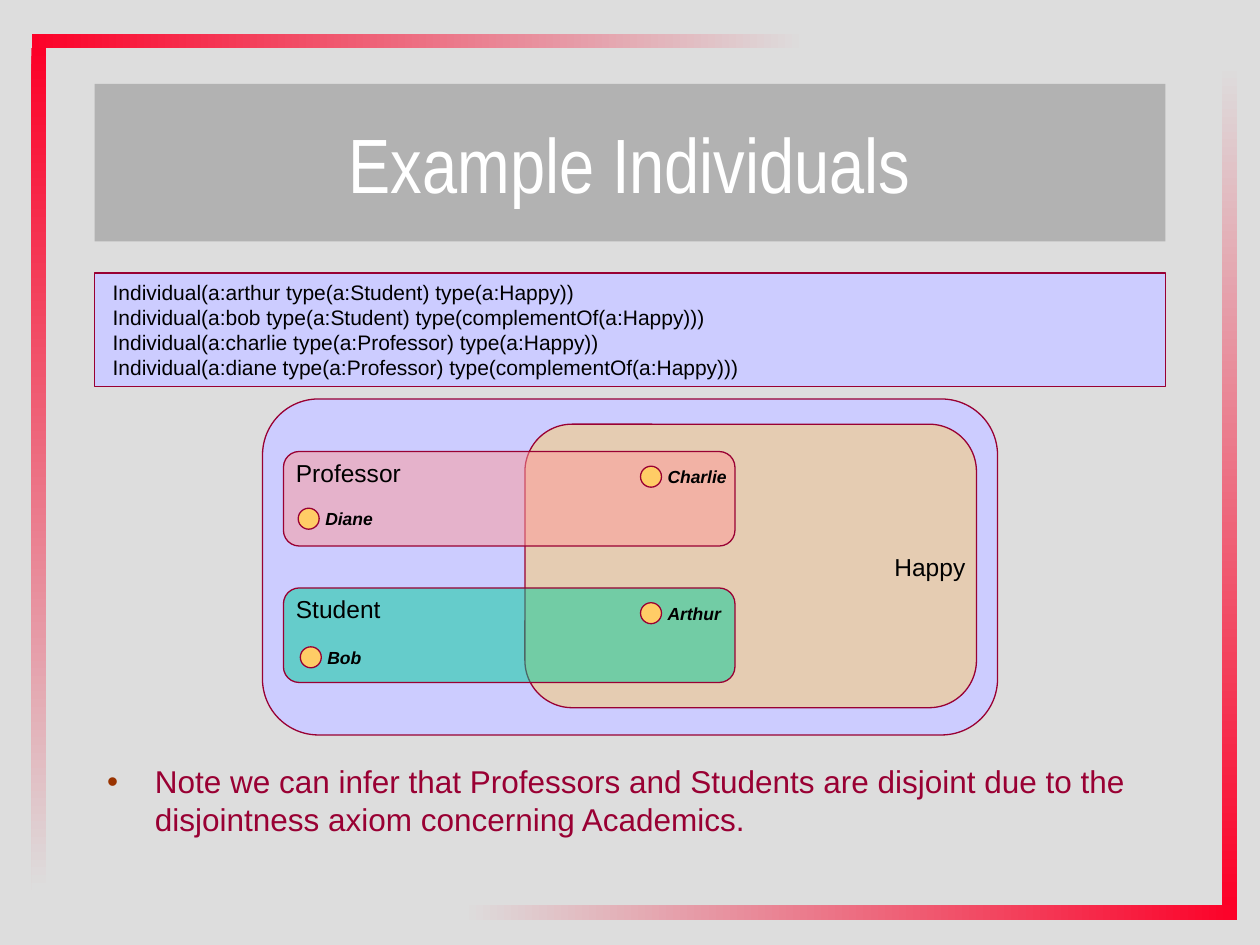
from typing import NamedTuple

from lxml import etree
from pptx import Presentation
from pptx import util as u
from pptx.dml.color import RGBColor
from pptx.enum import shapes, text
from pptx.oxml import ns

WIDTH, HEIGHT = u.Inches(10), u.Inches(7.5)
COLS, ROWS = 120, 90
RED, GREY, WINE, LILAC, AMBER = "FC0128", "DDDDDD", "990033", "CCCCFF", "FFCC66"


class Box(NamedTuple):
    """Left, top, width and height in grid columns and rows."""
    col: float
    row: float
    cols: float
    rows: float

    def emu(self) -> tuple:
        """Return the box in slide units."""
        return (int(WIDTH * self.col / COLS), int(HEIGHT * self.row / ROWS),
                int(WIDTH * self.cols / COLS), int(HEIGHT * self.rows / ROWS))


class Bar(NamedTuple):
    """A frame bar fading from red along an angle."""
    box: Box
    angle: int


class Region(NamedTuple):
    """A rounded set with an optional opacity in percent."""
    box: Box
    fill: str
    opacity: int = 100


class Label(NamedTuple):
    """The name of a class."""
    name: str
    box: Box


class Person(NamedTuple):
    """An individual: dot position and width of the name."""
    name: str
    col: float
    row: float
    cols: float


BARS = [
    Bar(Box(3, 4.6, 1.4, 80.2), 270),
    Bar(Box(3, 3.2, 73.8, 1.4), 0),
    Bar(Box(116.4, 6, 1.4, 80.2), 90),
    Bar(Box(44, 86.2, 73.8, 1.4), 180),
]
REGIONS = [
    Region(Box(25, 38, 70, 32), LILAC),
    Region(Box(50, 40.4, 43, 27), AMBER, 50),
    Region(Box(27, 43, 43, 9), "FF9999", 50),
    Region(Box(27, 56, 43, 9), "00CC99", 50),
]
LABELS = [
    Label("Happy", Box(84, 52, 9.6, 4.1)),
    Label("Professor", Box(27, 43, 12.8, 4.1)),
    Label("Student", Box(27, 56, 10.9, 4.1)),
]
PEOPLE = [
    Person("Charlie", 61, 44.4, 8.4),
    Person("Arthur", 61, 57.4, 7.9),
    Person("Diane", 28.4, 48.4, 7.3),
    Person("Bob", 28.6, 61.6, 6.1),
]
CODE = [
    " Individual(a:arthur type(a:Student) type(a:Happy))",
    " Individual(a:bob type(a:Student) type(complementOf(a:Happy)))",
    " Individual(a:charlie type(a:Professor) type(a:Happy))",
    " Individual(a:diane type(a:Professor) type(complementOf(a:Happy)))",
]
NOTE = ("Note we can infer that Professors and Students are disjoint "
        "due to the disjointness axiom concerning Academics.")


def rgb(value: str) -> RGBColor:
    """Turn a hex string into a colour."""
    return RGBColor.from_string(value)


def paint(sp, fill: str, line: str = "", opacity: int = 100) -> None:
    """Give a shape a solid fill and an optional outline."""
    sp.fill.solid()
    sp.fill.fore_color.rgb = rgb(fill)
    if opacity < 100:
        clr = sp._element.spPr.find(".//" + ns.qn("a:srgbClr"))
        etree.SubElement(clr, ns.qn("a:alpha"), val=str(opacity * 1000))
    if line:
        sp.line.color.rgb = rgb(line)
        sp.line.width = u.Pt(0.75)
    else:
        sp.line.fill.background()


def add_shape(s, kind, box: Box):
    """Add a preset shape without a shadow."""
    sp = s.shapes.add_shape(kind, *box.emu())
    sp.shadow.inherit = False
    return sp


def write(sp, *lines: str, size=12, font="Arial", color="000000", bold=False,
          italic=False, align=text.PP_ALIGN.LEFT, anchor=text.MSO_ANCHOR.TOP,
          wrap=True, fit=text.MSO_AUTO_SIZE.SHAPE_TO_FIT_TEXT) -> None:
    """Write one paragraph per line with a shared format."""
    tf = sp.text_frame
    tf.word_wrap, tf.auto_size, tf.vertical_anchor = wrap, fit, anchor
    for i, line in enumerate(lines):
        p = tf.add_paragraph() if i else tf.paragraphs[0]
        p.alignment = align
        p.space_before = u.Pt(0)
        r = p.add_run()
        r.text = line
        r.font.size, r.font.name = u.Pt(size), font
        r.font.bold, r.font.italic = bold, italic
        r.font.color.rgb = rgb(color)


def place(sp, box: Box) -> None:
    """Move a placeholder to a box."""
    sp.left, sp.top, sp.width, sp.height = box.emu()


def add_bullet(p, color: str) -> None:
    """Give a paragraph a hanging coloured bullet."""
    pPr = p._p.get_or_add_pPr()
    pPr.set("marL", str(u.Inches(0.38)))
    pPr.set("indent", str(-u.Inches(0.38)))
    clr = etree.SubElement(pPr, ns.qn("a:buClr"))
    etree.SubElement(clr, ns.qn("a:srgbClr"), val=color)
    etree.SubElement(pPr, ns.qn("a:buChar"), char="•")


def draw_bar(s, bar: Bar) -> None:
    """Draw a fading frame bar."""
    sp = add_shape(s, shapes.MSO_SHAPE.RECTANGLE, bar.box)
    sp.fill.gradient()
    sp.fill.gradient_angle = bar.angle
    for stop, color in zip(sp.fill.gradient_stops, (RED, GREY)):
        stop.color.rgb = rgb(color)
    sp.line.fill.background()


def draw_region(s, region: Region) -> None:
    """Draw a rounded set."""
    sp = add_shape(s, shapes.MSO_SHAPE.ROUNDED_RECTANGLE, region.box)
    paint(sp, region.fill, WINE, region.opacity)


def draw_label(s, label: Label, **fmt) -> None:
    """Draw a name that does not wrap."""
    write(s.shapes.add_textbox(*label.box.emu()), label.name, wrap=False, **fmt)


def draw_person(s, person: Person) -> None:
    """Draw a dot with a name to its right."""
    dot = add_shape(s, shapes.MSO_SHAPE.OVAL, Box(person.col, person.row, 2, 2))
    paint(dot, AMBER, WINE)
    box = Box(person.col + 1.4, person.row - 0.6, person.cols, 3.2)
    draw_label(s, Label(person.name, box), size=10, bold=True, italic=True)


def main() -> None:
    """Build the slide and save it."""
    prs = Presentation()
    prs.slide_width, prs.slide_height = WIDTH, HEIGHT
    s = prs.slides.add_slide(prs.slide_layouts[1])
    s.background.fill.solid()
    s.background.fill.fore_color.rgb = rgb(GREY)
    for bar in BARS:
        draw_bar(s, bar)

    title, body = s.shapes.title, s.placeholders[1]
    place(title, Box(9, 8, 102, 15))
    paint(title, "B2B2B2")
    write(title, "Example Individuals", size=44, font="Arial Narrow", color="FFFFFF",
          align=text.PP_ALIGN.CENTER, anchor=text.MSO_ANCHOR.MIDDLE,
          fit=text.MSO_AUTO_SIZE.NONE)

    code = add_shape(s, shapes.MSO_SHAPE.RECTANGLE, Box(9, 26, 102, 10.8))
    paint(code, LILAC, WINE)
    write(code, *CODE)

    for region in REGIONS:
        draw_region(s, region)
    for label in LABELS:
        draw_label(s, label, size=14)
    for person in PEOPLE:
        draw_person(s, person)

    place(body, Box(9, 72, 102, 13))
    add_bullet(body.text_frame.paragraphs[0], "993300")
    write(body, NOTE, size=18, color=WINE, fit=text.MSO_AUTO_SIZE.NONE)
    prs.save("out.pptx")


if __name__ == "__main__":
    main()
